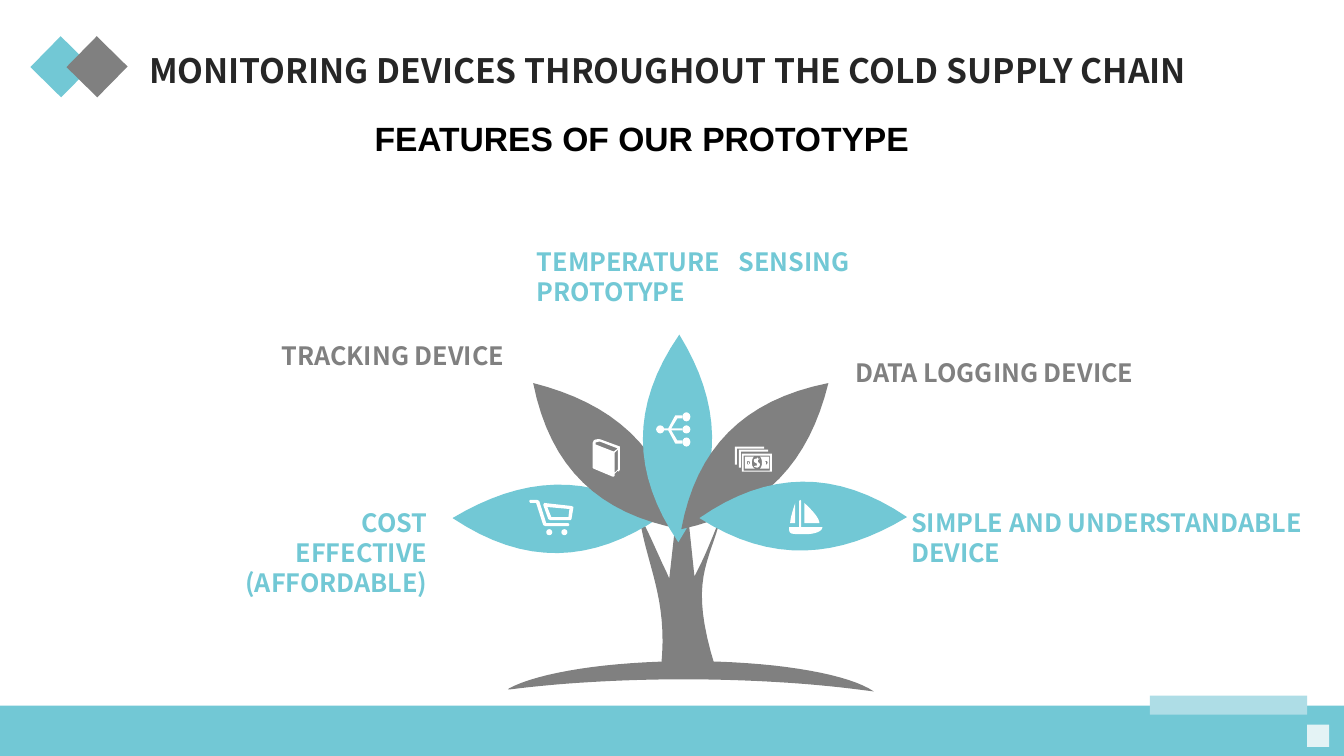
from pptx import Presentation
from pptx.dml.color import RGBColor
from pptx.enum.shapes import MSO_SHAPE
from pptx.enum.text import PP_ALIGN
from pptx.util import Cm, Pt

RECT, OVAL = MSO_SHAPE.RECTANGLE, MSO_SHAPE.OVAL
LEFT, RIGHT, JUSTIFY = PP_ALIGN.LEFT, PP_ALIGN.RIGHT, PP_ALIGN.JUSTIFY
TEAL, GREY, WHITE = "72C8D5", "808080", "FFFFFF"
NOTO = "Noto Sans CJK SC"
UNIT = Cm(2.54) / 100  # drawing grid of the tree and its icons
STEPS = 16  # line segments per curve

prs = Presentation()
prs.slide_width, prs.slide_height = Cm(33.87), Cm(19.05)
s = prs.slides.add_slide(prs.slide_layouts[6])


def paint(sp, color):
    sp.fill.solid()
    sp.fill.fore_color.rgb = RGBColor.from_string(color)
    sp.line.fill.background()
    sp.shadow.inherit = False


def outline(color, *contours):
    """Fill closed contours: a pair is a corner, six numbers are a Bezier curve."""
    builder = None
    for start, *segments in contours:
        points = [start]
        for seg in segments:
            if len(seg) == 2:
                points.append(seg)
                continue
            (x0, y0), (x1, y1, x2, y2, x3, y3) = points[-1], seg
            for i in range(1, STEPS + 1):
                t = i / STEPS
                a, b, c, d = (1 - t) ** 3, 3 * t * (1 - t) ** 2, 3 * t * t * (1 - t), t ** 3
                points.append((a * x0 + b * x1 + c * x2 + d * x3,
                               a * y0 + b * y1 + c * y2 + d * y3))
        points = [(x * UNIT, y * UNIT) for x, y in points]
        if builder is None:
            builder = s.shapes.build_freeform(*points[0])
        else:
            builder.move_to(*points[0])
        builder.add_line_segments(points[1:], close=True)
    paint(builder.convert_to_shape(), color)


# Footer band and title diamonds
for x, y, w, h, angle, color in [
    (0, 17.78, 33.87, 1.27, 0, TEAL),
    (28.98, 17.53, 3.96, 0.48, 0, "AEDDE6"),
    (32.94, 18.26, 0.56, 0.56, 0, "E4F3F5"),
    (0.99, 1.14, 1.09, 1.09, 44.5, TEAL),
    (1.9, 1.14, 1.09, 1.09, 44.5, GREY),
]:
    sp = s.shapes.add_shape(RECT, Cm(x), Cm(y), Cm(w), Cm(h))
    sp.rotation = angle
    paint(sp, color)

# Ground and trunk
outline(GREY, [(684, 656), (764, 656, 833, 667, 862, 683), (867, 686), (851, 684),
               (804, 678, 744, 674, 678, 674), (613, 674, 553, 678, 506, 684),
               (504, 684), (505, 683), (535, 667, 604, 656, 684, 656)])
outline(GREY, [(677, 458), (689, 572), (694, 562), (700, 550, 707, 533, 716, 510),
               (704, 560, 682, 574, 710, 663), (656, 661),
               (663, 592, 641, 561, 634, 510), (646, 533, 654, 553, 661, 567),
               (664, 574)])

# Cost leaf with cart
outline(TEAL, [(655, 513), (587, 559, 521, 562, 449, 514), (518, 473, 583, 467, 655, 513)])
outline(WHITE, [(564, 519), (542, 519), (535, 497), (533, 496), (526, 496), (525, 497),
                (526, 499), (532, 499), (539, 521), (541, 522), (564, 522), (565, 521)])
outline(WHITE, [(567, 502), (540, 499), (539, 501), (544, 515), (546, 516), (566, 516),
                (567, 515), (569, 503)],
        [(564, 513), (547, 513), (543, 503), (565, 505)])

# Tracking leaf with book
outline(GREY, [(676, 525), (595, 510, 546, 465, 529, 380), (607, 400, 658, 442, 676, 525)])
outline(WHITE, [(615, 443), (596, 436), (596, 436, 592, 435, 589, 437),
                (589, 438, 588, 439, 588, 440), (588, 464), (589, 465), (608, 473),
                (609, 473), (610, 472), (610, 470), (613, 467), (614, 468), (615, 466)],
        [(591, 441), (591, 439), (595, 438), (613, 445), (609, 448)],
        [(610, 449), (613, 446), (613, 466), (610, 469)])

# Temperature leaf with branching nodes
outline(TEAL, [(673, 538), (627, 470, 625, 403, 674, 332), (715, 399, 720, 465, 673, 538)])
outline(WHITE, [(677, 425), (666, 425), (672, 415), (677, 415), (677, 412), (670, 412),
                (663, 425), (659, 425), (659, 427), (663, 427), (670, 440), (677, 440),
                (677, 437), (672, 437), (666, 427), (677, 427)])

# Data logging leaf with banknotes
outline(GREY, [(676, 525), (691, 445, 737, 397, 822, 380), (803, 457, 760, 507, 676, 525)])
for x, y in [(729, 443), (733, 446)]:
    outline(WHITE, [(x, y), (x + 29, y), (x + 29, y + 2), (x + 2, y + 2),
                    (x + 2, y + 18), (x, y + 18)])
outline(WHITE, [(736, 450), (766, 450), (766, 468), (736, 468)],
        [(738, 452), (764, 452), (764, 467), (738, 467)])
outline(WHITE, [(748, 453), (739, 453), (739, 465), (749, 465),
                (747, 464, 746, 462, 746, 459), (746, 456, 747, 454, 748, 453)],
        [(741, 459), (741, 456.5, 744, 456.5, 744, 459), (744, 461.5, 741, 461.5, 741, 459)])
outline(WHITE, [(754, 453), (763, 453), (763, 465), (754, 465),
                (755, 464, 756, 462, 756, 459), (756, 456, 755, 454, 754, 453)],
        [(759, 459), (759, 456.5, 761.5, 456.5, 761.5, 459),
         (761.5, 461.5, 759, 461.5, 759, 459)])
outline(WHITE, [(751, 464), (752, 464), (752, 463.5, 754, 463, 754, 461),
                (754, 459, 752, 459, 752, 458), (752, 456), (753, 456), (754, 455),
                (752, 455), (752, 454), (751, 454), (751, 455),
                (750, 455, 748, 455, 748, 457), (748, 459, 750, 459, 751, 460),
                (751, 462), (749, 462), (748, 463)])

# Simple device leaf with boat
outline(TEAL, [(694, 514), (762, 467, 829, 465, 900, 513), (832, 554, 766, 560, 694, 514)])
outline(WHITE, [(795, 523), (795, 497), (794, 496), (793, 497), (793, 523), (783, 523),
                (783, 530, 783, 530, 799, 530), (809, 530, 816, 527, 816, 523)])
outline(WHITE, [(798, 499), (798, 519), (813, 519), (813, 512, 798, 499, 798, 499)])
outline(WHITE, [(789, 499), (789, 499, 784, 513, 784, 519), (789, 519)])

# Round icon details: cart wheels, branch nodes, banknote dots
for x, y, w, h in [(542, 525, 6, 6), (557, 525, 6, 6),
                   (651, 422, 8, 8), (677, 409, 8, 9), (677, 422, 8, 8), (677, 434, 8, 9),
                   (742, 458, 1, 3), (759, 458, 1, 3)]:
    sp = s.shapes.add_shape(OVAL, *(round(v * UNIT) for v in (x, y, w, h)))
    paint(sp, WHITE)

# Labels and headings
for text, x, y, w, h, align, size, font, color in [
    ("COST EFFECTIVE (AFFORDABLE)", 5.46, 12.65, 5.56, 2.57, RIGHT, 18, NOTO, TEAL),
    ("SIMPLE AND UNDERSTANDABLE DEVICE", 22.71, 12.65, 10.8, 1.8, LEFT, 18, NOTO, TEAL),
    ("DATA LOGGING DEVICE", 21.31, 8.89, 8.59, 1.02, LEFT, 18, NOTO, GREY),
    ("TRACKING DEVICE", 5.16, 8.46, 7.8, 1.02, RIGHT, 18, NOTO, GREY),
    ("TEMPERATURE\tSENSING PROTOTYPE", 13.28, 6.07, 9.8, 1.8, JUSTIFY, 18, NOTO, TEAL),
    ("MONITORING DEVICES THROUGHOUT THE COLD SUPPLY CHAIN",
     3.51, 1.14, 29.31, 1.27, LEFT, 24, NOTO, "262626"),
    ("FEATURES OF OUR PROTOTYPE", 9.19, 2.84, 14.91, 1.27, LEFT, 24, "Arial", "000000"),
]:
    tf = s.shapes.add_textbox(Cm(x), Cm(y), Cm(w), Cm(h)).text_frame
    tf.word_wrap = True
    p = tf.paragraphs[0]
    p.text = text
    p.alignment = align
    r = p.runs[0]
    r.font.name, r.font.size, r.font.bold = font, Pt(size), True
    r.font.color.rgb = RGBColor.from_string(color)

prs.save("out.pptx")
